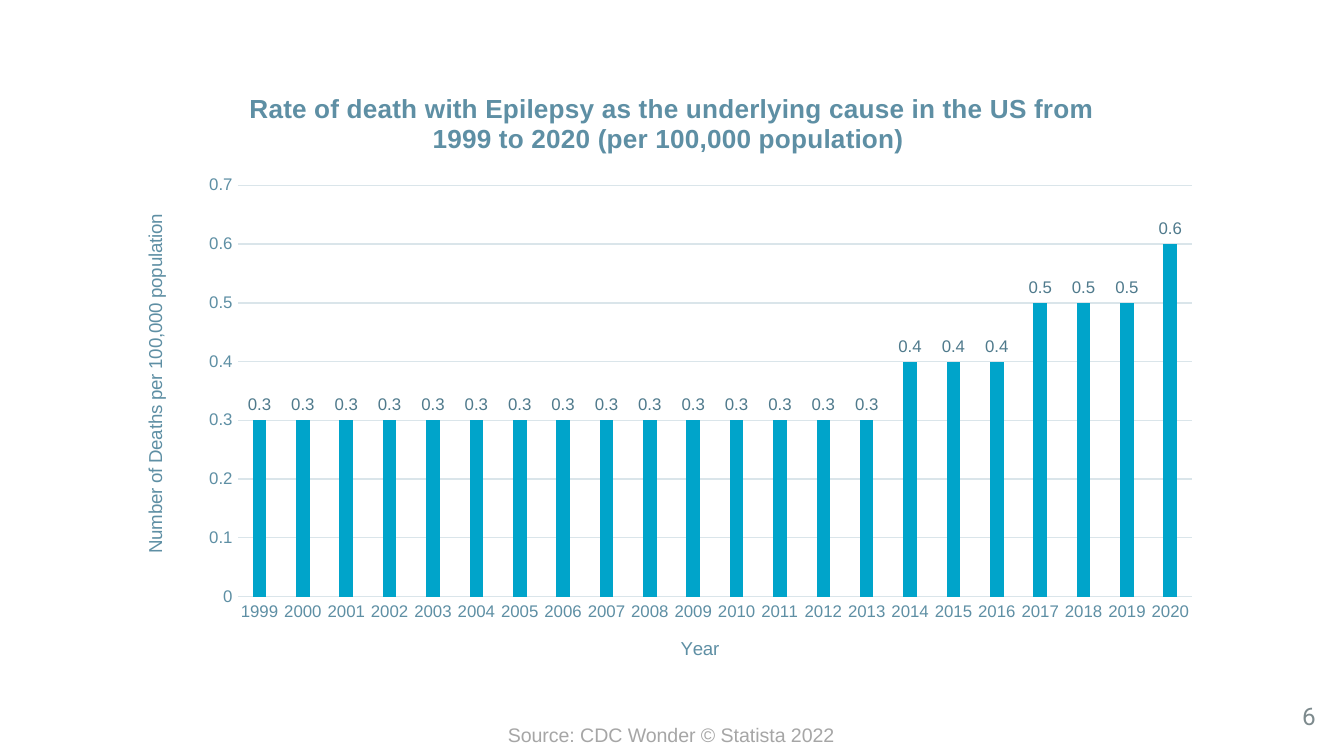
from lxml import etree
from pptx import Presentation
from pptx.chart import data as cd
from pptx.dml.color import RGBColor
from pptx.enum import chart as ce, text as te
from pptx.oxml import ns
from pptx.util import Inches, Pt

# Content
TITLE = ("Rate of death with Epilepsy as the underlying cause in the US "
         "from 1999 to 2020 (per 100,000 population) ")
X_NAME = "Year"
Y_NAME = "Number of Deaths per 100,000 population"
SOURCE = "Source: CDC Wonder © Statista 2022"
PAGE = "6"
YEARS = [str(y) for y in range(1999, 2021)]
RATES = [0.3] * 15 + [0.4] * 3 + [0.5] * 3 + [0.6]

# Chart frame and the parts placed inside it, all in slide inches
FRAME = (0.97, 0.51, 8.05, 4.6)
PLOT = (1.77, 1.38, 7.1, 3.06)
TITLE_AT = (1.82, 0.65)
X_AT = (5.04, 4.71)
Y_AT = (1.04, 1.57)

BAR, GRID, TEAL, DARK = "00A4CA", "DAE5EA", "5E8FA4", "4F7A8C"


def color(code):
    return RGBColor.from_string(code)


def style(font, size, code, face="Arial", bold=False):
    font.size, font.name, font.bold = Pt(size), face, bold
    font.color.rgb = color(code)


def write(frame, words, align=None, **fmt):
    para = frame.paragraphs[0]
    para.alignment = align
    run = para.add_run()
    run.text = words
    style(run.font, **fmt)


def box(slide, at, words, margin=None, **fmt):
    frame = slide.shapes.add_textbox(*map(Inches, at)).text_frame
    frame.word_wrap = True
    if margin is not None:
        frame.margin_left = frame.margin_right = Inches(margin)
        frame.margin_top = frame.margin_bottom = Inches(margin)
        frame.vertical_anchor = te.MSO_ANCHOR.MIDDLE
    write(frame, words, **fmt)


def place(node, at, index, inner=False):
    """Give a chart part a fixed place, as fractions of the chart frame."""
    for old in node.findall(ns.qn("c:layout")):
        node.remove(old)
    layout = etree.Element(ns.qn("c:layout"))
    manual = etree.SubElement(layout, ns.qn("c:manualLayout"))

    def put(tag, val):
        etree.SubElement(manual, ns.qn("c:" + tag)).set("val", str(val))

    if inner:
        put("layoutTarget", "inner")
    put("xMode", "edge")
    put("yMode", "edge")
    left, top, wide, high = FRAME
    spans = [(at[0] - left) / wide, (at[1] - top) / high]
    spans += [n / size for n, size in zip(at[2:], (wide, high))]
    for tag, val in zip("xywh", spans):
        put(tag, round(val, 4))
    node.insert(index, layout)


def name(title, words, at, **fmt):
    write(title.text_frame, words, code=TEAL, **fmt)
    place(title._element, at, 1)


# Widescreen slide, 16 to 9
deck = Presentation()
deck.slide_width = Inches(10)
deck.slide_height = deck.slide_width * 9 // 16
slide = deck.slides.add_slide(deck.slide_layouts[6])

# Page number
box(slide, (9.41, 5.17, 0.38, 0.31), PAGE, margin=0, align=te.PP_ALIGN.RIGHT,
    size=13, code="7D8A8D", face="Roboto")

# Column chart
data = cd.CategoryChartData()
data.categories = YEARS
data.add_series("Series 1", RATES)
chart = slide.shapes.add_chart(ce.XL_CHART_TYPE.COLUMN_CLUSTERED,
                               *map(Inches, FRAME), data).chart
style(chart.font, 10, "2C444E")
chart.has_legend = False
chart.has_title = True
name(chart.chart_title, TITLE, TITLE_AT, size=14, bold=True,
     align=te.PP_ALIGN.CENTER)
place(chart._chartSpace.chart.plotArea, PLOT, 0, inner=True)

# Columns and their labels
plot = chart.plots[0]
plot.gap_width, plot.overlap = 219, -27
plot.vary_by_categories = False
bars = plot.series[0]
bars.format.fill.solid()
bars.format.fill.fore_color.rgb = color(BAR)
labels = bars.data_labels
labels.show_value = True
labels.position = ce.XL_LABEL_POSITION.OUTSIDE_END
style(labels.font, 9, DARK)

# Axes
across, up = chart.category_axis, chart.value_axis
for axis, words, at in ((across, X_NAME, X_AT), (up, Y_NAME, Y_AT)):
    axis.major_tick_mark = axis.minor_tick_mark = ce.XL_TICK_MARK.NONE
    style(axis.tick_labels.font, 9, TEAL)
    axis.has_title = True
    name(axis.axis_title, words, at, size=10)
body = up.axis_title.text_frame._txBody.find(ns.qn("a:bodyPr"))
body.set("rot", "-5400000")
body.set("vert", "horz")
up.minimum_scale, up.maximum_scale, up.major_unit = 0, 0.7, 0.1
up.tick_labels.number_format = "General"
up.tick_labels.number_format_is_linked = False
up.has_major_gridlines = True
up.format.line.fill.background()
for line in (across.format.line, up.major_gridlines.format.line):
    line.color.rgb = color(GRID)
    line.width = Pt(0.75)

# Source
box(slide, (3.22, 5.33, 3.55, 0.29), SOURCE, align=te.PP_ALIGN.CENTER,
    size=10.5, code="A6A6A6")

deck.save("out.pptx")
